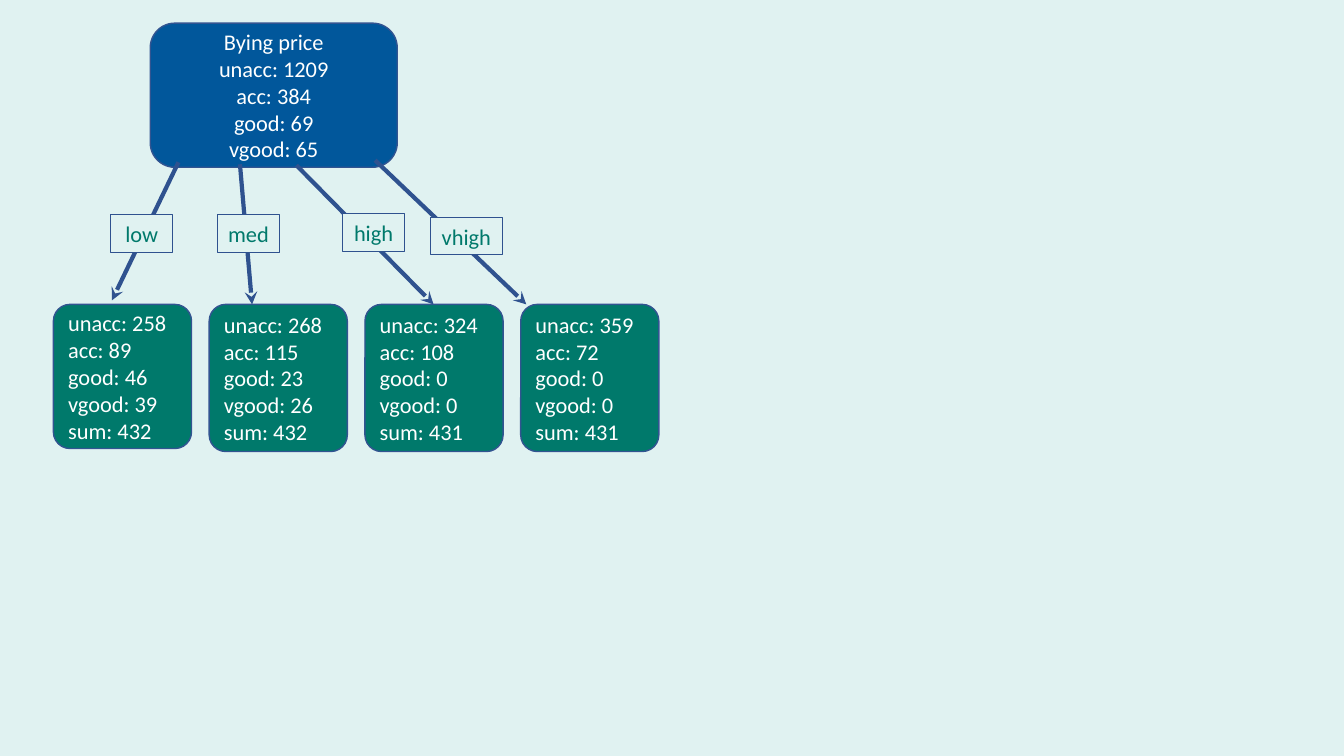
from dataclasses import dataclass

from lxml.etree import SubElement
from pptx import Presentation
from pptx.dml.color import RGBColor
from pptx.enum.shapes import MSO_CONNECTOR, MSO_SHAPE
from pptx.enum.text import MSO_ANCHOR, MSO_AUTO_SIZE, PP_ALIGN
from pptx.oxml.ns import qn
from pptx.util import Inches, Pt


@dataclass(frozen=True)
class Theme:
    background: RGBColor = RGBColor.from_string("E0F2F1")
    root: RGBColor = RGBColor.from_string("01579B")
    leaf: RGBColor = RGBColor.from_string("00796B")
    outline: RGBColor = RGBColor.from_string("325491")
    branch: RGBColor = RGBColor.from_string("2F528F")
    light: RGBColor = RGBColor.from_string("FFFFFF")
    font: str = "Calibri"
    text_size: Pt = Pt(16)
    node_line: Pt = Pt(1)
    label_line: Pt = Pt(0.75)
    branch_line: Pt = Pt(3)


class TreeSlide:
    """Draws tree parts; lengths are columns and rows of a 133.3 by 75 grid."""

    def __init__(self, deck, theme):
        self.theme = theme
        self.column = deck.slide_width / 133.3
        self.row = deck.slide_height / 75
        self.slide = deck.slides.add_slide(deck.slide_layouts[6])
        self.paint(self.slide.background.fill, theme.background)

    def place(self, *lengths):
        """Turn alternating columns and rows into slide lengths."""
        units = (self.column, self.row) * 2
        return [round(length * unit) for length, unit in zip(lengths, units)]

    def paint(self, fill, color):
        fill.solid()
        fill.fore_color.rgb = color

    def stroke(self, line, color, width):
        line.color.rgb = color
        line.width = width

    def fill_text(self, box, lines, color, align, frame_format):
        frame = box.text_frame
        for name, value in {"word_wrap": True, **frame_format}.items():
            setattr(frame, name, value)
        frame.text = "\n".join(lines)
        font_format = {"name": self.theme.font, "size": self.theme.text_size}
        for para in frame.paragraphs:
            para.alignment = align
            for span in para.runs:
                for name, value in font_format.items():
                    setattr(span.font, name, value)
                span.font.color.rgb = color

    def node(self, area, lines, color, align=PP_ALIGN.LEFT, rounding=0.12):
        box = self.slide.shapes.add_shape(MSO_SHAPE.ROUNDED_RECTANGLE, *self.place(*area))
        box.shadow.inherit = False
        box.adjustments[0] = rounding
        self.paint(box.fill, color)
        self.stroke(box.line, self.theme.outline, self.theme.node_line)
        self.fill_text(box, lines, self.theme.light, align,
                       {"vertical_anchor": MSO_ANCHOR.MIDDLE})

    def label(self, area, text):
        box = self.slide.shapes.add_textbox(*self.place(*area))
        self.paint(box.fill, self.theme.background)
        self.stroke(box.line, self.theme.branch, self.theme.label_line)
        self.fill_text(box, [text], self.theme.leaf, PP_ALIGN.CENTER,
                       {"auto_size": MSO_AUTO_SIZE.SHAPE_TO_FIT_TEXT})

    def arrow(self, ends):
        arrow = self.slide.shapes.add_connector(MSO_CONNECTOR.STRAIGHT, *self.place(*ends))
        self.stroke(arrow.line, self.theme.branch, self.theme.branch_line)
        properties = arrow._element.spPr
        SubElement(properties.find(qn("a:ln")), qn("a:tailEnd"), type="stealth")
        SubElement(properties, qn("a:effectLst"))


ROOT_AREA = (14.9, 2.3, 24.5, 14.3)
ROOT_COUNTS = (1209, 384, 69, 65)
CLASSES = ("unacc", "acc", "good", "vgood", "sum")
LEAF_LEFT, LEAF_TOP, LEAF_WIDTH, LEAF_PITCH = 5.3, 30.2, 13.7, 15.45

# Each branch: price, label area, arrow ends, leaf height, counts by class.
BRANCHES = (
    ("low", (11, 21.3, 6.1, 3.8), (17.7, 16.1, 11.1, 29.8), 14.3, (258, 89, 46, 39, 432)),
    ("med", (21.6, 21.3, 6.1, 3.8), (23.8, 16.3, 25, 30.2), 14.6, (268, 115, 23, 26, 432)),
    ("high", (34, 21.2, 6.1, 3.8), (29.4, 16.4, 43, 30.2), 14.6, (324, 108, 0, 0, 431)),
    ("vhigh", (42.7, 21.6, 7.1, 3.7), (37.2, 15.9, 52.2, 30.2), 14.6, (359, 72, 0, 0, 431)),
)


def count_lines(counts):
    return [f"{name}: {count}" for name, count in zip(CLASSES, counts)]


def main():
    deck = Presentation()
    deck.slide_width, deck.slide_height = Inches(13.33), Inches(7.5)
    theme = Theme()
    tree = TreeSlide(deck, theme)

    tree.node(ROOT_AREA, ["Bying price", *count_lines(ROOT_COUNTS)], theme.root,
              align=PP_ALIGN.CENTER, rounding=0.17)
    for index, (price, label_area, ends, height, counts) in enumerate(BRANCHES):
        leaf_area = (LEAF_LEFT + index * LEAF_PITCH, LEAF_TOP, LEAF_WIDTH, height)
        tree.node(leaf_area, count_lines(counts), theme.leaf)
        tree.arrow(ends)
        tree.label(label_area, price)

    deck.save("out.pptx")


if __name__ == "__main__":
    main()
